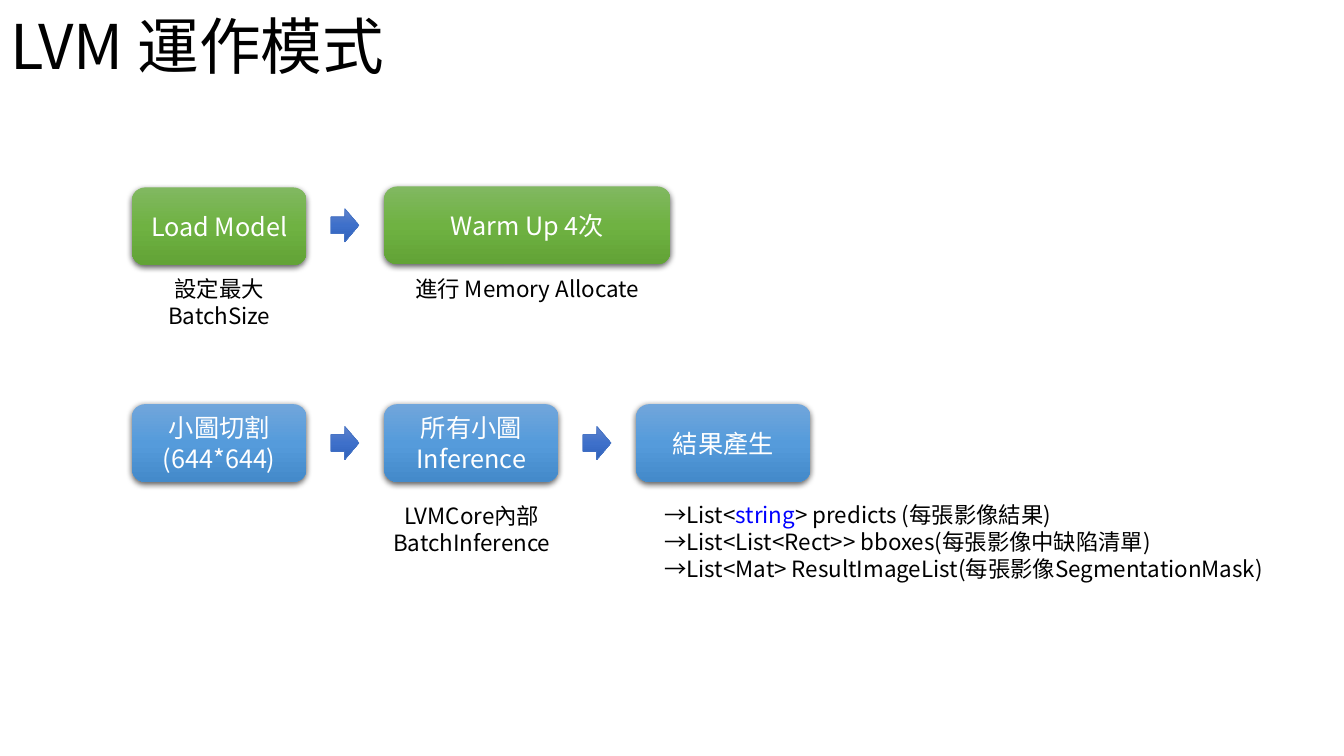
from copy import deepcopy

from lxml import etree
from pptx import Presentation
from pptx.dml.color import RGBColor
from pptx.enum import shapes, text
from pptx.oxml import ns
from pptx.util import Inches, Pt

FONT = "Noto Sans CJK SC"
BLACK = RGBColor(0, 0, 0)
WHITE = RGBColor(255, 255, 255)
CODE = RGBColor(0, 0, 255)
EDGE = RGBColor(0x44, 0x72, 0xC4)
GREEN = [RGBColor.from_string(c) for c in ("81B861", "6FB242", "62A336")]
BLUE = [RGBColor.from_string(c) for c in ("71A6DB", "559BDB", "448ACA")]
NAVY = [RGBColor.from_string(c) for c in ("6183CB", "3E70CA", "3062BB")]

TITLE = "LVM 運作模式"
# column, top, width, colours, lines
STEPS = [
    (0, 1.86, 1.73, GREEN, ["Load Model"]),
    (1, 1.85, 2.84, GREEN, ["Warm Up 4次"]),
    (0, 4.01, 1.73, BLUE, ["小圖切割", "(644*644)"]),
    (1, 4.01, 1.73, BLUE, ["所有小圖Inference"]),
    (2, 4.01, 1.73, BLUE, ["結果產生"]),
]
ARROWS = [(0, 2.07), (0, 4.23), (1, 4.23)]  # column before, top
# left, top, width, height, words
NOTES = [
    (1.31, 2.68, 1.73, 0.64, "設定最大BatchSize"),
    (3.81, 2.68, 2.84, 0.37, "進行 Memory Allocate"),
    (3.64, 4.93, 2.08, 0.64, "LVMCore內部BatchInference"),
]
RESULTS = [
    [("→List<", BLACK), ("string", CODE), ("> predicts (每張影像結果)", BLACK)],
    [("→List<List<Rect>> bboxes(每張影像中缺陷清單)", BLACK)],
    [("→List<Mat> ResultImageList(每張影像SegmentationMask)", BLACK)],
]
LEFT, PITCH, TALL = 1.31, 2.5, 0.77
GAP = 1.97  # from a column's left edge to its arrow


def style(run, size, color):
    run.font.size = Pt(size)
    run.font.name = FONT
    run.font.color.rgb = color
    east = etree.SubElement(run.font._element, ns.qn("a:ea"))
    east.set("typeface", FONT)


def shade(shape, colors):
    """Fill from top to bottom with three evenly spaced colours."""
    shape.fill.gradient()
    shape.fill.gradient_angle = 270
    first = shape._element.spPr.find(".//" + ns.qn("a:gs"))
    first.addnext(deepcopy(first))
    for i, (stop, color) in enumerate(zip(shape.fill.gradient_stops, colors)):
        stop.position = i / 2
        stop.color.rgb = color


def drop(shape):
    """Cast a soft shadow below the shape."""
    shape.shadow.inherit = False
    effects = shape._element.spPr.find(ns.qn("a:effectLst"))
    outer = etree.SubElement(effects, ns.qn("a:outerShdw"), blurRad=str(Pt(4.5)),
                             dist=str(Pt(1.5)), dir="5400000", algn="ctr", rotWithShape="0")
    black = etree.SubElement(outer, ns.qn("a:srgbClr"), val="000000")
    etree.SubElement(black, ns.qn("a:alpha"), val="63000")


def add_step(slide, col, top, width, colors, lines):
    box = slide.shapes.add_shape(
        shapes.MSO_SHAPE.ROUNDED_RECTANGLE, Inches(LEFT + col * PITCH),
        Inches(top), Inches(width), Inches(TALL))
    shade(box, colors)
    box.line.fill.background()
    drop(box)
    frame = box.text_frame
    frame.word_wrap = True
    frame.vertical_anchor = text.MSO_ANCHOR.MIDDLE
    frame.text = "\n".join(lines)
    for para in frame.paragraphs:
        para.alignment = text.PP_ALIGN.CENTER
        style(para.runs[0], 18, WHITE)


def add_arrow(slide, col, top):
    arrow = slide.shapes.add_shape(
        shapes.MSO_SHAPE.RIGHT_ARROW, Inches(LEFT + col * PITCH + GAP),
        Inches(top), Inches(0.28), Inches(0.33))
    shade(arrow, NAVY)
    arrow.line.color.rgb = EDGE
    arrow.line.width = Pt(0.5)
    arrow.shadow.inherit = False


def add_frame(slide, *place):
    frame = slide.shapes.add_textbox(*map(Inches, place)).text_frame
    frame.word_wrap = True
    frame.auto_size = text.MSO_AUTO_SIZE.SHAPE_TO_FIT_TEXT
    return frame


def add_title(slide):
    title = slide.shapes.title
    title.left, title.top, title.width, title.height = map(Inches, (0, 0, 11.5, 0.99))
    frame = title.text_frame
    frame.text = TITLE
    frame.auto_size = text.MSO_AUTO_SIZE.NONE
    frame.vertical_anchor = text.MSO_ANCHOR.MIDDLE
    para = frame.paragraphs[0]
    para.alignment = text.PP_ALIGN.LEFT
    para.line_spacing = 0.9
    style(para.runs[0], 44, BLACK)


def main():
    deck = Presentation()
    deck.slide_width, deck.slide_height = Inches(13.33), Inches(7.5)
    slide = deck.slides.add_slide(deck.slide_layouts[5])
    add_title(slide)
    for step in STEPS:
        add_step(slide, *step)
    for arrow in ARROWS:
        add_arrow(slide, *arrow)
    for *place, words in NOTES:
        frame = add_frame(slide, *place)
        frame.text = words
        para = frame.paragraphs[0]
        para.alignment = text.PP_ALIGN.CENTER
        style(para.runs[0], 16, BLACK)
    para = add_frame(slide, 6.49, 4.92, 6.25, 0.91).paragraphs[0]
    for i, line in enumerate(RESULTS):
        if i:
            para.add_line_break()
        for words, color in line:
            run = para.add_run()
            run.text = words
            style(run, 16, color)
    deck.save("out.pptx")


if __name__ == "__main__":
    main()
